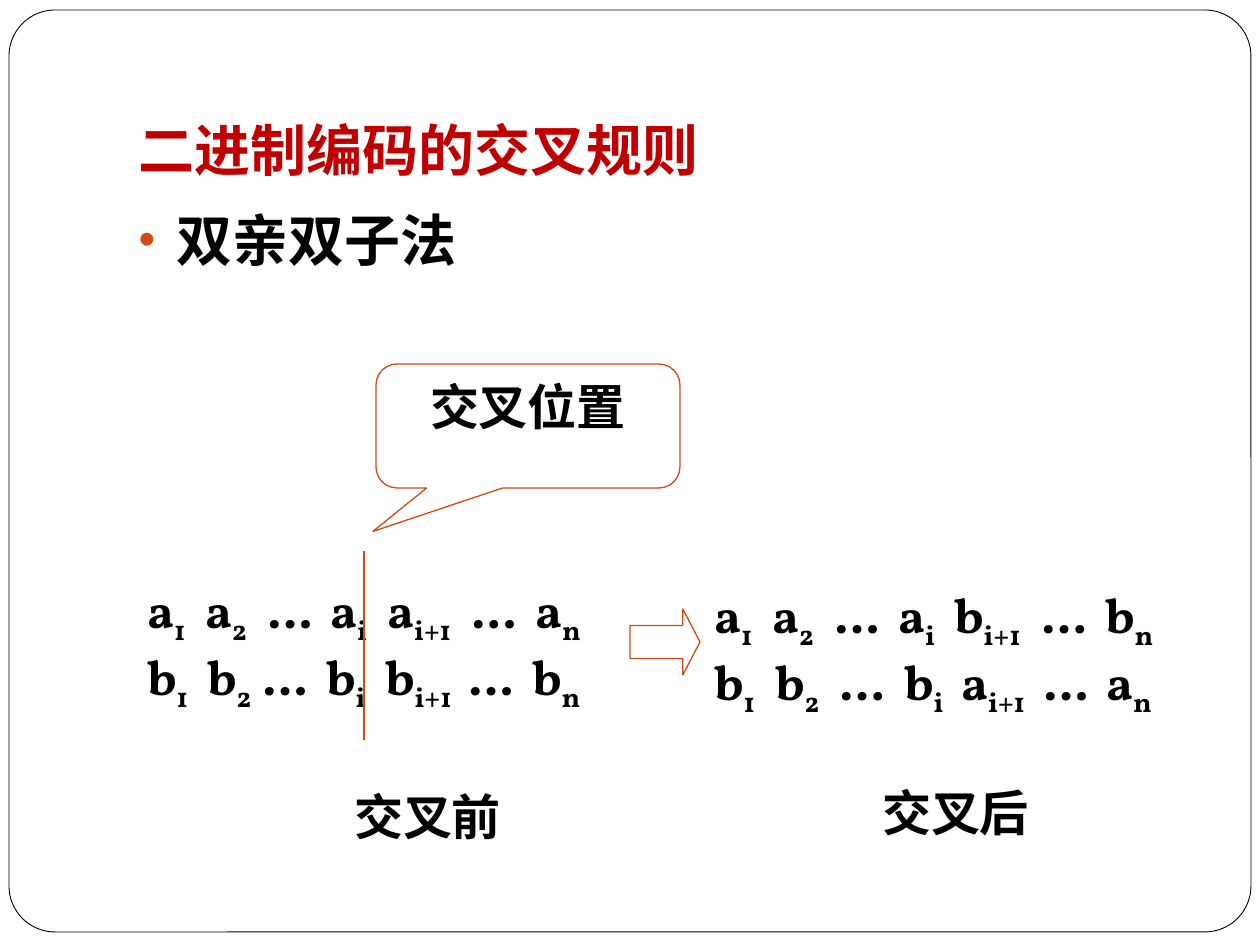
"""Build the slide on crossover rules for binary encoding."""
import dataclasses

import lxml.etree
import pptx
import pptx.dml.color
import pptx.enum.shapes
import pptx.enum.text
import pptx.oxml.ns
import pptx.util

COLORS = {"title": "C00000", "text": "000000", "accent": "D34817", "paper": "FFFFFF"}
EMU_PER_PX = 914400 / 126
FONT = "Vollkorn"
SHAPES = pptx.enum.shapes.MSO_SHAPE
ALIGN = pptx.enum.text.PP_ALIGN
ANCHOR = pptx.enum.text.MSO_ANCHOR


@dataclasses.dataclass
class Box:
    left: int
    top: int
    width: int
    height: int


@dataclasses.dataclass
class Row:
    terms: str
    stops: tuple[int, ...]


@dataclasses.dataclass
class Pair:
    box: Box
    rows: tuple[Row, ...]
    caption: str
    caption_box: Box


PAIRS = (
    Pair(
        Box(135, 573, 469, 227),
        (
            Row("a_1 a_2 ... a_i a_i+1 ... a_n", (58, 120, 183, 240, 324, 388)),
            Row("b_1 b_2 ... b_i b_i+1 ... b_n", (60, 115, 179, 238, 321, 385)),
        ),
        "交叉前",
        Box(304, 780, 247, 165),
    ),
    Pair(
        Box(702, 578, 481, 227),
        (
            Row("a_1 a_2 ... a_i b_i+1 ... b_n", (58, 120, 184, 240, 327, 391)),
            Row("b_1 b_2 ... b_i a_i+1 ... a_n", (61, 125, 190, 247, 329, 392)),
        ),
        "交叉后",
        Box(832, 776, 247, 165),
    ),
)


def px(n: float) -> pptx.util.Emu:
    """Turn pixels into EMU."""
    return pptx.util.Emu(round(n * EMU_PER_PX))


def place(box: Box) -> tuple:
    """Give a box as four EMU lengths."""
    return tuple(px(n) for n in dataclasses.astuple(box))


def rgb(name: str) -> pptx.dml.color.RGBColor:
    """Look up a named colour."""
    return pptx.dml.color.RGBColor.from_string(COLORS[name])


def add_xml(parent, tag: str, **attrs: str):
    """Append a DrawingML element."""
    return lxml.etree.SubElement(parent, pptx.oxml.ns.qn(tag), attrs)


def add_run(p, text: str, size: int = 28, color: str = "text", font: str = FONT, sub: bool = False) -> None:
    """Add a bold run, lowered when it is a subscript."""
    r = p.add_run()
    r.text = text
    r.font.size = pptx.util.Pt(size)
    r.font.name = font
    r.font.bold = True
    r.font.color.rgb = rgb(color)
    if sub:
        r.font._element.set("baseline", "-25000")


def add_outline(s, kind, box: Box, adjustments: tuple[float, ...], line: str = "accent", width: float = 0.75):
    """Add an outlined preset shape without fill."""
    sp = s.shapes.add_shape(kind, *place(box))
    sp.shadow.inherit = False
    sp.fill.background()
    sp.line.color.rgb = rgb(line)
    sp.line.width = pptx.util.Pt(width)
    for i, value in enumerate(adjustments):
        sp.adjustments[i] = value
    return sp


def add_textbox(s, box: Box):
    """Add a wrapping text box and return its text frame."""
    tf = s.shapes.add_textbox(*place(box)).text_frame
    tf.word_wrap = True
    return tf


def add_row(p, row: Row) -> None:
    """Write one chromosome with its terms on tab stops."""
    tabs = add_xml(p._p.get_or_add_pPr(), "a:tabLst")
    for stop in row.stops:
        add_xml(tabs, "a:tab", pos=str(px(stop)), algn="l")
    for i, term in enumerate(row.terms.split()):
        base, _, index = term.partition("_")
        add_run(p, "\t" + base if i else base)
        if index:
            add_run(p, index, sub=True)


def add_pair(s, pair: Pair) -> None:
    """Add two chromosomes and their caption."""
    tf = add_textbox(s, pair.box)
    for i, row in enumerate(pair.rows):
        add_row(tf.add_paragraph() if i else tf.paragraphs[0], row)
    p = add_textbox(s, pair.caption_box).paragraphs[0]
    p.alignment = ALIGN.CENTER
    add_run(p, pair.caption)


def move(sp, box: Box) -> None:
    """Move a placeholder to a box."""
    sp.left, sp.top, sp.width, sp.height = place(box)


def add_headings(s) -> None:
    """Fill the title and body placeholders."""
    title, body = s.placeholders
    move(title, Box(126, 38, 1071, 157))
    tf = title.text_frame
    tf.vertical_anchor = ANCHOR.BOTTOM
    tf.margin_bottom = pptx.util.Inches(0.1)
    p = tf.paragraphs[0]
    p.alignment = ALIGN.LEFT
    add_run(p, "二进制编码的交叉规则", 32, "title", "Times New Roman")

    move(body, Box(126, 199, 1071, 630))
    p = body.text_frame.paragraphs[0]
    p.space_before = pptx.util.Pt(5.8)
    pPr = p._p.get_or_add_pPr()
    pPr.set("marL", str(px(38)))
    pPr.set("indent", str(px(-38)))
    add_xml(add_xml(pPr, "a:buClr"), "a:srgbClr", val=COLORS["accent"])
    add_xml(pPr, "a:buSzPct", val="85000")
    add_xml(pPr, "a:buChar", char="•")
    add_run(p, "双亲双子法", 32)


def main() -> None:
    """Build and save the slide."""
    prs = pptx.Presentation()
    prs.slide_width, prs.slide_height = px(1260), px(945)
    s = prs.slides.add_slide(prs.slide_layouts[1])
    add_headings(s)

    frame = add_outline(s, SHAPES.ROUNDED_RECTANGLE, Box(9, 10, 1242, 922), (0.05,), "text", 0.5)
    frame.fill.solid()
    frame.fill.fore_color.rgb = rgb("paper")
    s.shapes._spTree.insert(2, frame._element)

    for pair in PAIRS:
        add_pair(s, pair)

    cut = s.shapes.add_connector(pptx.enum.shapes.MSO_CONNECTOR.STRAIGHT, px(364), px(551), px(364), px(740))
    cut.line.color.rgb = rgb("accent")
    cut.line.width = pptx.util.Pt(0.75)
    add_xml(cut._element.spPr, "a:effectLst")

    add_outline(s, SHAPES.RIGHT_ARROW, Box(630, 609, 70, 66), (0.5, 0.26))
    callout = add_outline(s, SHAPES.ROUNDED_RECTANGULAR_CALLOUT, Box(376, 364, 304, 124), (-0.51, 0.85, 0.17))
    tf = callout.text_frame
    tf.vertical_anchor = ANCHOR.TOP
    p = tf.paragraphs[0]
    p.alignment = ALIGN.CENTER
    add_run(p, "交叉位置")

    prs.save("out.pptx")


main()
